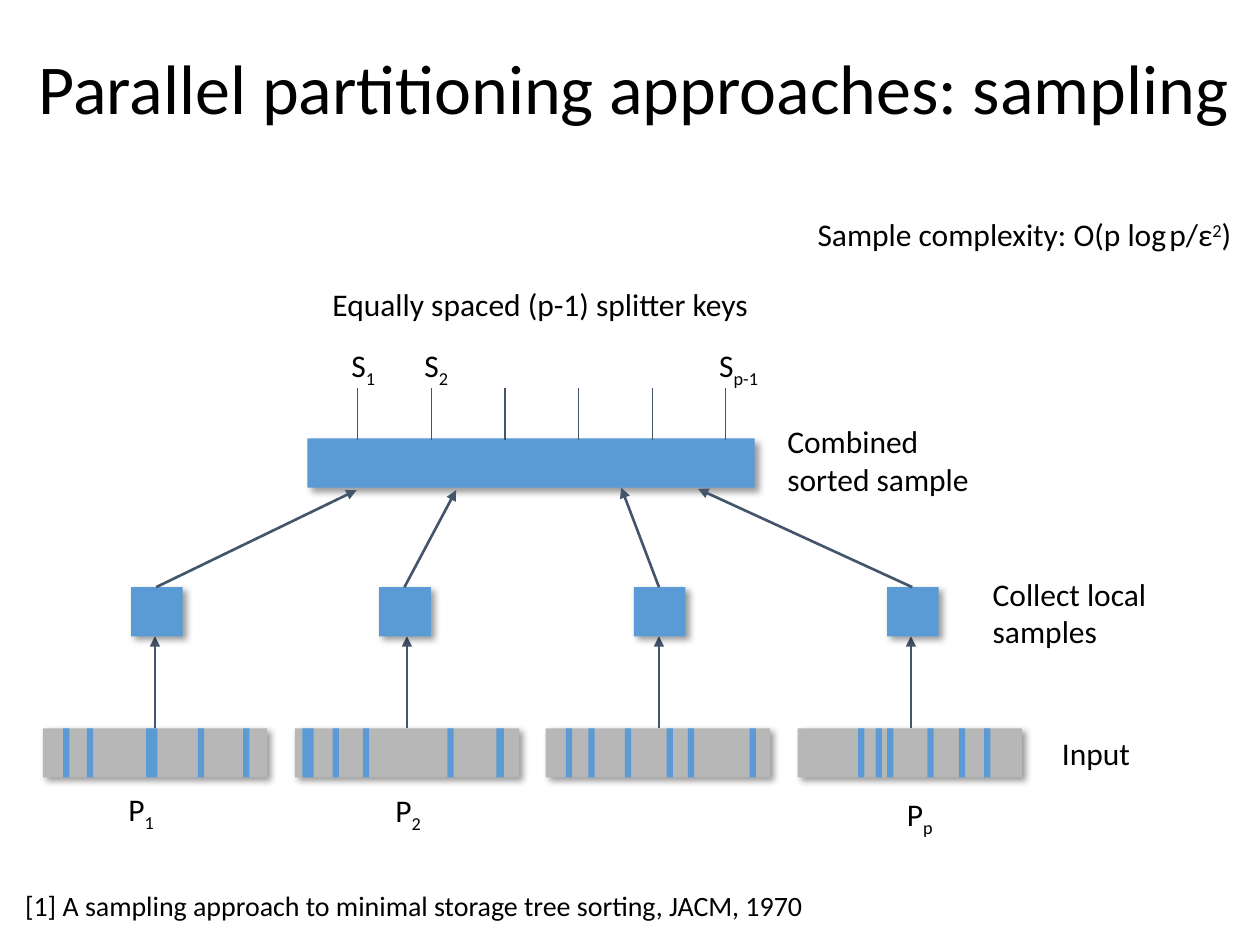
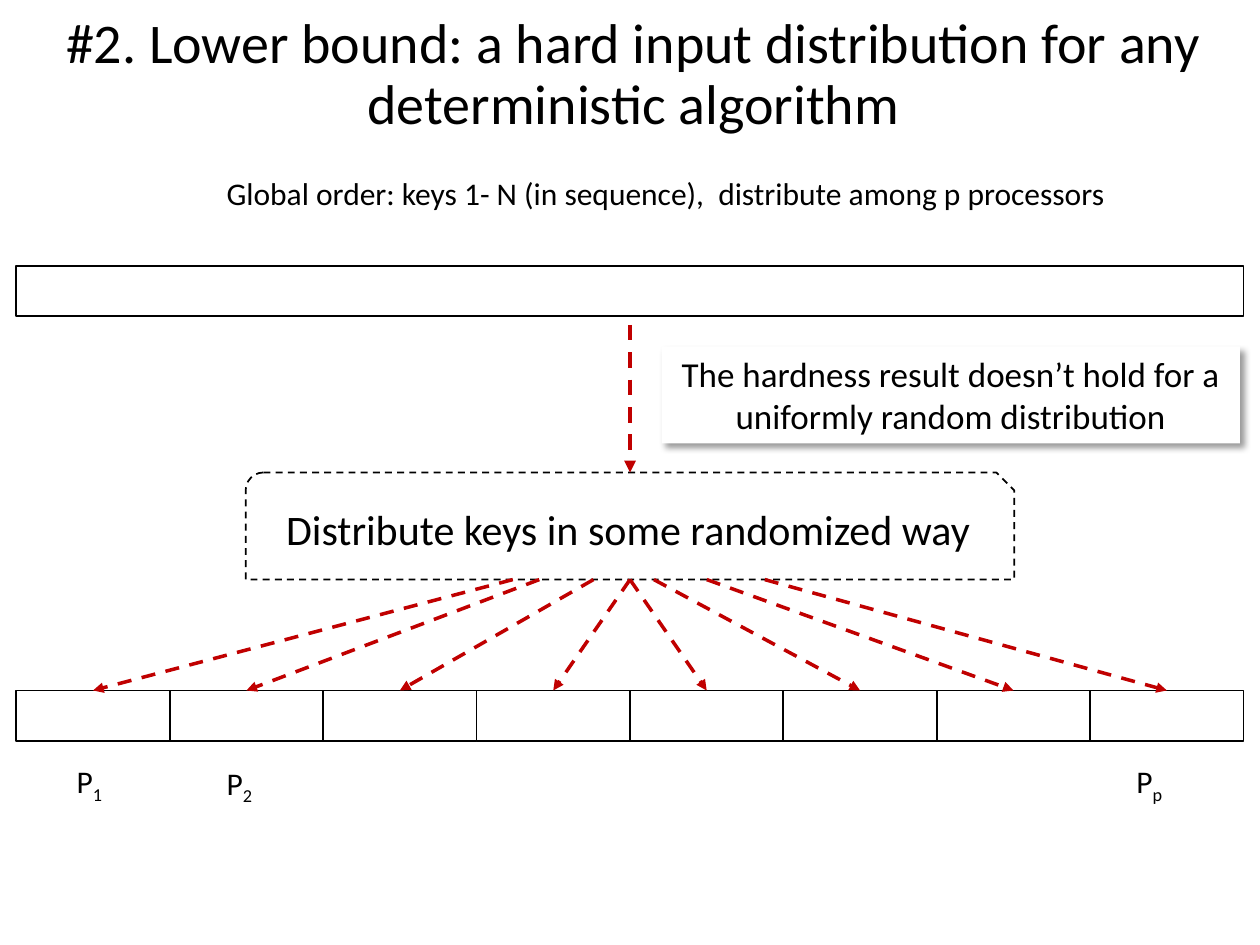
from lxml import etree
from pptx import Presentation
from pptx.dml.color import RGBColor
from pptx.enum.dml import MSO_LINE
from pptx.enum.shapes import MSO_CONNECTOR, MSO_SHAPE
from pptx.enum.text import MSO_ANCHOR, PP_ALIGN
from pptx.oxml.ns import qn
from pptx.util import Inches, Pt

BLACK = RGBColor(0x00, 0x00, 0x00)
WHITE = RGBColor(0xFF, 0xFF, 0xFF)
GRAY = RGBColor(0xB7, 0xB7, 0xB7)
BLUE = RGBColor(0x5B, 0x9B, 0xD5)
SLATE = RGBColor(0x44, 0x54, 0x6A)
RED = RGBColor(0xC0, 0x00, 0x00)

FONT = "Calibri"
RECTANGLE = MSO_SHAPE.RECTANGLE
SNIPPED = MSO_SHAPE.SNIP_ROUND_RECTANGLE
STRAIGHT = MSO_CONNECTOR.STRAIGHT
DASH = MSO_LINE.DASH
LEFT, CENTER = PP_ALIGN.LEFT, PP_ALIGN.CENTER
TOP, MIDDLE = MSO_ANCHOR.TOP, MSO_ANCHOR.MIDDLE
SUBSCRIPT, SUPERSCRIPT = -25, 30


def write(shape, text, size=18, align=LEFT, anchor=TOP, spacing=None, inset=0.05):
    frame = shape.text_frame
    frame.word_wrap = True
    frame.vertical_anchor = anchor
    frame.margin_left = frame.margin_right = Inches(0.1)
    frame.margin_top = frame.margin_bottom = Inches(inset)
    para = frame.paragraphs[0]
    para.alignment = align
    para.line_spacing = spacing
    pieces = [(text, size, 0)] if isinstance(text, str) else text
    for words, points, baseline in pieces:
        span = para.add_run()
        span.text = words
        span.font.name = FONT
        span.font.size = Pt(points)
        span.font.color.rgb = BLACK
        if baseline:
            span.font._element.set("baseline", str(baseline * 1000))


def add_text(slide, left, top, width, height, text, **text_format):
    box = slide.shapes.add_textbox(*map(Inches, (left, top, width, height)))
    write(box, text, **text_format)


def add_title(slide, top, height, text, size):
    add_text(slide, 0.06, top, 9.94, height, text, size=size,
             align=CENTER, anchor=MIDDLE, spacing=0.9)


def add_indexed(slide, left, top, width, height, letter, index):
    add_text(slide, left, top, width, height,
             [(letter, 18, 0), (index, 18, SUBSCRIPT)], inset=0.1)


def add_block(shapes, left, top, width, height, fill=None, outline=None,
              dash=None, shadow=False, kind=RECTANGLE):
    block = shapes.add_shape(kind, *map(Inches, (left, top, width, height)))
    if fill is None:
        block.fill.background()
    else:
        block.fill.solid()
        block.fill.fore_color.rgb = fill
    if outline is None:
        block.line.fill.background()
    else:
        block.line.color.rgb = outline
        block.line.width = Pt(1)
        if dash:
            block.line.dash_style = dash
    block.shadow.inherit = False
    if shadow:
        add_shadow(block)
    return block


def add_shadow(block):
    effects = block._element.spPr.find(qn("a:effectLst"))
    outer = etree.SubElement(effects, qn("a:outerShdw"), blurRad=str(Pt(4)),
                             dist=str(Pt(3)), dir="2700000", algn="tl", rotWithShape="0")
    color = etree.SubElement(outer, qn("a:srgbClr"), val=str(BLACK))
    etree.SubElement(color, qn("a:alpha"), val="40000")


def add_line(slide, start, end, color, width, dash=None, arrow=True):
    connector = slide.shapes.add_connector(STRAIGHT, *map(Inches, (*start, *end)))
    connector.line.color.rgb = color
    connector.line.width = Pt(width)
    if dash:
        connector.line.dash_style = dash
    properties = connector._element.spPr
    if arrow:
        etree.SubElement(properties.find(qn("a:ln")), qn("a:tailEnd"), type="triangle")
    etree.SubElement(properties, qn("a:effectLst"))


def build_sampling(slide):
    bar_height = 0.39
    input_top, sample_top, combined_top = 5.78, 4.66, 3.48
    input_lefts = (0.34, 2.34, 4.33, 6.33)
    sample_lefts = (1.04, 3.01, 5.03, 7.04)
    arrow_ends = ((2.83, 3.89), (3.62, 3.89), (4.93, 3.87), (5.54, 3.88))

    for index, left in enumerate(input_lefts):
        add_block(slide.shapes, left, input_top, 1.78, bar_height, GRAY, shadow=True)
        center = 1.23 + 2 * index
        add_line(slide, (center, input_top), (center, 5.05), SLATE, 1.5)
    for left in sample_lefts:
        add_block(slide.shapes, left, sample_top, 0.41, bar_height, BLUE, shadow=True)
    add_block(slide.shapes, 2.44, combined_top, 3.55, bar_height, BLUE, shadow=True)
    for left, end in zip(sample_lefts, arrow_ends):
        add_line(slide, (left + 0.2, sample_top), end, SLATE, 1.5)

    for index in range(6):
        splitter = 2.84 + 0.584 * index
        add_line(slide, (splitter, 3.08), (splitter, 3.49), SLATE, 0.75, arrow=False)
    for left, width, index in ((2.69, 0.54, "1"), (3.27, 0.54, "2"), (5.61, 1.43, "p-1")):
        add_indexed(slide, left, 2.65, width, 0.2, "S", index)

    narrow_keys = (0.5, 0.69, 1.57, 1.93, 2.64, 2.88, 3.55,
                   4.49, 4.67, 4.96, 5.29, 5.46, 5.95,
                   6.81, 6.95, 7.04, 7.36, 7.61, 7.81)
    wide_keys = ((1.16, 0.09), (2.4, 0.09), (3.94, 0.06))
    for left, width in [(left, 0.05) for left in narrow_keys] + list(wide_keys):
        add_block(slide.shapes, left, input_top, width, bar_height, BLUE)

    for left, top, index in ((0.92, 6.17, "1"), (3.04, 6.18, "2"), (7.1, 6.21, "p")):
        add_indexed(slide, left, top, 0.47, bar_height, "P", index)

    add_title(slide, 0, 1.45, "Parallel partitioning approaches: sampling", 40)
    complexity = [("Sample complexity: O(p log", 18, 0), (" ", 7, 0), ("p/ε", 18, 0),
                  ("2", 18, SUPERSCRIPT), (")", 18, 0)]
    for left, top, width, text in (
        (6.39, 1.61, 3.6, complexity),
        (2.54, 2.16, 4.55, "Equally spaced (p-1) splitter keys"),
        (6.15, 3.25, 1.78, "Combined sorted sample"),
        (7.78, 4.46, 1.78, "Collect local samples"),
    ):
        add_text(slide, left, top, width, bar_height, text, inset=0.1)
    add_text(slide, 8.33, 5.78, 1.2, 0.4, "Input")
    add_text(slide, 0.1, 7, 7.81, 0.37,
             "[1] A sampling approach to minimal storage tree sorting, JACM, 1970", size=16)


def build_lower_bound(slide):
    bar_left, bar_width, bar_height = 0.13, 9.74, 0.4
    processors_top, spread_top = 5.48, 4.6
    processor_count = 8
    step = bar_width / processor_count

    add_title(slide, 0.01, 1.18,
              "#2. Lower bound: a hard input distribution for any deterministic algorithm", 32)
    add_text(slide, 1.7, 1.33, 7.83, 0.4,
             "Global order: keys 1- N (in sequence),  distribute among p processors")
    for left, top, index in ((0.51, 5.95, "1"), (1.7, 5.96, "2"), (8.92, 5.95, "p")):
        add_indexed(slide, left, top, 0.47, 0.39, "P", index)

    processors = slide.shapes.add_group_shape()
    for index in range(processor_count):
        add_block(processors.shapes, bar_left + index * step, processors_top,
                  step, bar_height, WHITE, BLACK)

    distributor = add_block(slide.shapes, 1.95, 3.75, 6.1, 0.85, outline=BLACK,
                            dash=DASH, kind=SNIPPED)
    write(distributor, "Distribute keys in some randomized way", size=24,
          align=CENTER, anchor=MIDDLE)
    for index, start in enumerate((4.07, 4.28, 4.71, 5, 5, 5.19, 5.61, 6.07)):
        center = bar_left + (index + 0.5) * step
        add_line(slide, (start, spread_top), (center, processors_top), RED, 2, DASH)
    add_line(slide, (5, 2.36), (5, 3.75), RED, 2.25, DASH)

    add_block(slide.shapes, bar_left, 2.11, bar_width, bar_height, WHITE, BLACK)
    remark = add_block(slide.shapes, 5.25, 2.75, 4.59, 0.77, WHITE, shadow=True)
    write(remark, "The hardness result doesn’t hold for a uniformly random distribution",
          size=20, align=CENTER)


def main():
    deck = Presentation()
    deck.slide_width, deck.slide_height = Inches(10), Inches(7.5)
    blank = deck.slide_layouts[6]
    for build in (build_sampling, build_lower_bound):
        build(deck.slides.add_slide(blank))
    deck.save("out.pptx")


if __name__ == "__main__":
    main()
